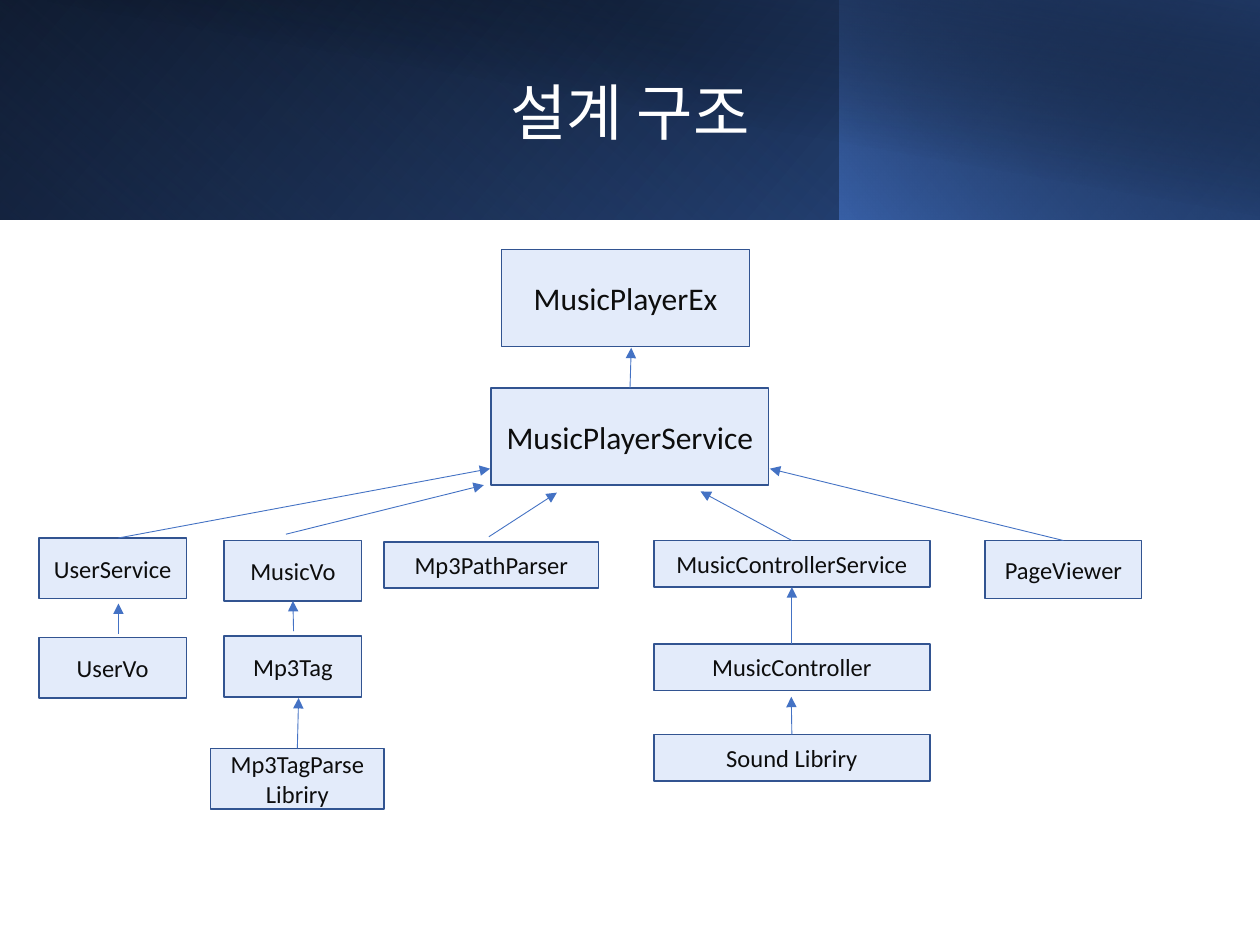
from pptx import Presentation
from pptx.dml.color import RGBColor
from pptx.enum import shapes, text
from pptx.oxml import parse_xml
from pptx.oxml.ns import nsdecls
from pptx.util import Inches, Pt

THEME = {
    "font": "Calibri", "title_size": 35, "main_size": 18, "class_size": 14,
    "title": "FFFFFF", "ink": "0D0D0D", "box": "E3EBFA", "edge": "325491",
    "arrow": "4472C4", "edge_width": 1, "arrow_width": 0.5,
}

TITLE = "설계 구조"

# left, top, width, height, rotation, flipped, angle, stops (position, colour, opacity)
HEADER_BANDS = [
    (0, 0, 10, 1.74, 0, True, 140, [(0, "000000", 100), (100, "2F5597", 100)]),
    (0, 0, 6.66, 1.74, 180, True, 230, [(20, "4472C4", 0), (100, "203864", 55)]),
    (6.66, 0, 3.34, 1.74, 0, True, 220, [(0, "4472C4", 66), (100, "000000", 30)]),
    (0.38, 0, 9.62, 1.75, 0, False, 280, [(50, "000000", 0), (99, "203864", 52)]),
]

MAIN_CLASSES = {
    "MusicPlayerEx": (3.98, 1.98, 1.97, 0.77),
    "MusicPlayerService": (3.9, 3.08, 2.2, 0.77),
}

# Each column: left, width, height, then (class, top) from the top down
CLASS_COLUMNS = [
    (0.31, 1.17, 0.48, [("UserService", 4.27), ("UserVo", 5.06)]),
    (1.78, 1.09, 0.48, [("MusicVo", 4.29), ("Mp3Tag", 5.05)]),
    (1.67, 1.38, 0.48, [("Mp3TagParse Libriry", 5.94)]),
    (3.05, 1.7, 0.37, [("Mp3PathParser", 4.3)]),
    (5.19, 2.19, 0.37, [("MusicControllerService", 4.29),
                        ("MusicController", 5.11), ("Sound Libriry", 5.83)]),
    (7.82, 1.24, 0.46, [("PageViewer", 4.29)]),
]

TOP, BOTTOM = 0, 2
# Each end is a point, or a class and the side of its box
ARROWS = [
    ((0.94, 4.27), (3.89, 3.72)),
    ((2.27, 4.24), (3.84, 3.85)),
    ((3.88, 4.26), (4.42, 3.91)),
    ((0.94, 5.03), (0.94, 4.79)),
    ((2.33, 5.01), ("MusicVo", BOTTOM)),
    (("Mp3TagParse Libriry", TOP), (2.37, 5.54)),
    (("MusicController", TOP), ("MusicControllerService", BOTTOM)),
    (("Sound Libriry", TOP), (6.28, 5.53)),
    (("MusicControllerService", TOP), (5.56, 3.9)),
    (("PageViewer", TOP), (6.11, 3.72)),
    (("MusicPlayerService", TOP), (5.01, 2.76)),
]


def color(name):
    return RGBColor.from_string(THEME[name])


def write(shape, words, size, ink, spacing=None):
    frame = shape.text_frame
    frame.word_wrap = True
    frame.auto_size = text.MSO_AUTO_SIZE.NONE
    frame.vertical_anchor = text.MSO_ANCHOR.MIDDLE
    line = frame.paragraphs[0]
    line.alignment = text.PP_ALIGN.CENTER
    line.line_spacing = spacing
    run = line.add_run()
    run.text = words
    run.font.name = THEME["font"]
    run.font.size = Pt(THEME[size])
    run.font.color.rgb = color(ink)


def add_rectangle(slide, place):
    box = slide.shapes.add_shape(shapes.MSO_SHAPE.RECTANGLE, *map(Inches, place))
    box.shadow.inherit = False
    return box


def add_band(slide, *place, rotation, flipped, angle, stops):
    band = add_rectangle(slide, place)
    band.rotation = rotation
    band.line.fill.background()
    properties = band._element.spPr
    if flipped:
        properties.xfrm.set("flipH", "1")
    stop_xml = "".join(
        f'<a:gs pos="{position * 1000}"><a:srgbClr val="{shade}">'
        f'<a:alpha val="{opacity * 1000}"/></a:srgbClr></a:gs>'
        for position, shade, opacity in stops)
    gradient = parse_xml(
        f'<a:gradFill {nsdecls("a")} rotWithShape="1"><a:gsLst>{stop_xml}</a:gsLst>'
        f'<a:lin ang="{angle * 60000}" scaled="0"/></a:gradFill>')
    properties.prstGeom.addnext(gradient)


def add_class(slide, name, place, size):
    box = add_rectangle(slide, place)
    box.fill.solid()
    box.fill.fore_color.rgb = color("box")
    box.line.color.rgb = color("edge")
    box.line.width = Pt(THEME["edge_width"])
    write(box, name, size=size, ink="ink")
    return box


def add_arrow(slide, start, end, boxes):
    points = [(0, 0) if tip[0] in boxes else tuple(map(Inches, tip)) for tip in (start, end)]
    arrow = slide.shapes.add_connector(shapes.MSO_CONNECTOR.STRAIGHT, *points[0], *points[1])
    for tip, join in ((start, arrow.begin_connect), (end, arrow.end_connect)):
        if tip[0] in boxes:
            join(boxes[tip[0]], tip[1])
    arrow.line.color.rgb = color("arrow")
    arrow.line.width = Pt(THEME["arrow_width"])
    arrow.line._get_or_add_ln().append(
        parse_xml(f'<a:tailEnd {nsdecls("a")} type="triangle"/>'))
    arrow._element.spPr.append(parse_xml(f'<a:effectLst {nsdecls("a")}/>'))


def main():
    deck = Presentation()
    deck.slide_width, deck.slide_height = Inches(10), Inches(7.5)
    slide = deck.slides.add_slide(deck.slide_layouts[5])

    for *place, rotation, flipped, angle, stops in HEADER_BANDS:
        add_band(slide, *place, rotation=rotation, flipped=flipped, angle=angle, stops=stops)

    title = slide.shapes.title
    title.left, title.top, title.width, title.height = map(Inches, (0.94, 0.35, 8.12, 1.13))
    write(title, TITLE, size="title_size", ink="title", spacing=0.9)
    slide.shapes._spTree.append(title._element)  # in front of the header bands

    boxes = {name: add_class(slide, name, place, "main_size")
             for name, place in MAIN_CLASSES.items()}
    for left, width, height, classes in CLASS_COLUMNS:
        for name, top in classes:
            boxes[name] = add_class(slide, name, (left, top, width, height), "class_size")

    for start, end in ARROWS:
        add_arrow(slide, start, end, boxes)

    deck.save("out.pptx")


if __name__ == "__main__":
    main()
